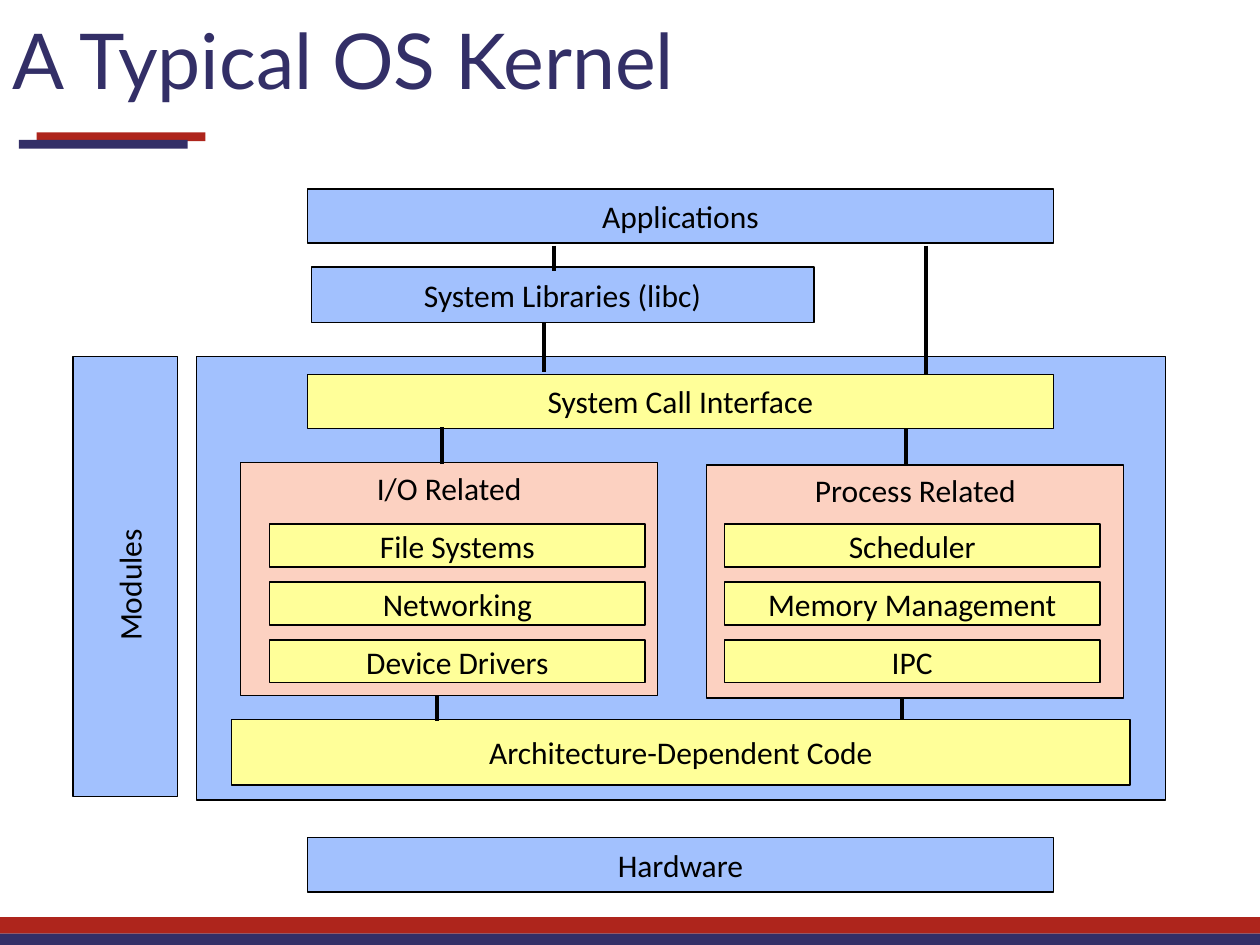
from dataclasses import dataclass

from lxml import etree
from pptx import Presentation
from pptx.dml.color import RGBColor as Rgb
from pptx.enum import shapes as sh, text as tx
from pptx.oxml.ns import qn
from pptx.util import Inches, Pt


@dataclass(frozen=True)
class Theme:
    """Colours, fonts and type sizes of the slide."""
    navy: str = "332F67"
    red: str = "AE251C"
    blue: str = "A2C1FE"
    yellow: str = "FFFF99"
    pink: str = "FCD1C1"
    black: str = "000000"
    head: str = "Lato"
    body: str = "Calibri"
    big: int = 44
    small: int = 18


T = Theme()


def style(frame, words, font, size, color, align):
    """Fill a text frame with one formatted paragraph."""
    frame.text = words
    para = frame.paragraphs[0]
    para.alignment = align
    face = para.runs[0].font
    face.name, face.size = font, Pt(size)
    face.color.rgb = Rgb.from_string(color)


def rect(slide, box, fill, edge=True):
    """Draw a plain filled rectangle."""
    shape = slide.shapes.add_shape(sh.MSO_SHAPE.RECTANGLE, *map(Inches, box))
    shape.shadow.inherit = False
    shape.fill.solid()
    shape.fill.fore_color.rgb = Rgb.from_string(fill)
    if edge:
        shape.line.color.rgb = Rgb.from_string(T.black)
        shape.line.width = Pt(0.75)
    else:
        shape.line.fill.background()
    return shape


def block(slide, box, words, fill, anchor=tx.MSO_ANCHOR.MIDDLE):
    """Draw a labelled rectangle."""
    frame = rect(slide, box, fill).text_frame
    frame.word_wrap = False
    frame.vertical_anchor = anchor
    style(frame, words, T.body, T.small, T.black, tx.PP_ALIGN.CENTER)


def link(slide, x, top, end):
    """Draw a vertical line between two layers."""
    line = slide.shapes.add_connector(
        sh.MSO_CONNECTOR.STRAIGHT, *map(Inches, (x, top, x, end)))
    line.line.color.rgb = Rgb.from_string(T.black)
    line.line.width = Pt(2.25)
    etree.SubElement(line._element.spPr, qn("a:effectLst"))


def stripes(slide, box, shift, drop, colors):
    """Draw two coloured bars, the second offset from the first."""
    left, top, wide, high = box
    for i, color in enumerate(colors):
        spot = (left + i * shift, top + i * drop, wide, high)
        rect(slide, spot, color, edge=False)


def title(slide, box, words):
    """Place the slide title."""
    frame = slide.shapes.add_textbox(*map(Inches, box)).text_frame
    frame.word_wrap = True
    frame.vertical_anchor = tx.MSO_ANCHOR.MIDDLE
    style(frame, words, T.head, T.big, T.navy, tx.PP_ALIGN.LEFT)
    frame.paragraphs[0].line_spacing = 0.9


def group(slide, box, inset, top, words, parts):
    """Draw a subsystem panel with its evenly stacked parts."""
    block(slide, box, words, T.pink, tx.MSO_ANCHOR.TOP)
    for i, part in enumerate(parts):
        spot = (box[0] + inset, top + i * 0.46, 2.98, 0.34)
        block(slide, spot, part, T.yellow)


def kernel(slide, box):
    """Draw the kernel with its interface, subsystems and base."""
    left, top, wide, high = box
    rect(slide, box, T.blue)
    block(slide, (left + 0.88, top + 0.14, 5.92, 0.43),
          "System Call Interface", T.yellow)
    block(slide, (left + 0.28, top + 2.88, 7.13, 0.52),
          "Architecture-Dependent Code", T.yellow)
    row = top + 1.33
    group(slide, (left + 0.35, top + 0.84, 3.31, 1.85), 0.23, row,
          "I/O Related", ("File Systems", "Networking", "Device Drivers"))
    group(slide, (left + 4.05, top + 0.86, 3.31, 1.85), 0.14, row,
          "Process Related", ("Scheduler", "Memory Management", "IPC"))


def modules(slide, box):
    """Draw the side column with its upright label."""
    left, top, wide, high = box
    rect(slide, box, T.blue)
    label = slide.shapes.add_textbox(
        *map(Inches, (left - 0.18, top + 1.46, 1.32, 0.47)))
    label.rotation = 270
    frame = label.text_frame
    frame.word_wrap = False
    style(frame, "Modules", T.body, T.small, T.black, tx.PP_ALIGN.LEFT)


def main():
    """Build and save the slide."""
    deck = Presentation()
    deck.slide_width, deck.slide_height = Inches(10), Inches(7.5)
    slide = deck.slides.add_slide(deck.slide_layouts[6])
    stripes(slide, (0.29, 1.05, 1.34, 0.07), -0.14, 0.06, (T.red, T.navy))
    stripes(slide, (0, 7.28, 10, 0.13), 0, 0.13, (T.red, T.navy))
    title(slide, (0, 0, 9.65, 1.02), "A Typical OS Kernel")
    kernel(slide, (1.56, 2.83, 7.69, 3.52))
    for box, words in (
            ((2.44, 1.5, 5.92, 0.43), "Applications"),
            ((2.47, 2.12, 3.99, 0.44), "System Libraries (libc)"),
            ((2.44, 6.65, 5.92, 0.43), "Hardware")):
        block(slide, box, words, T.blue)
    modules(slide, (0.58, 2.83, 0.83, 3.49))
    for x, top, end in (
            (4.4, 1.95, 2.15), (4.32, 2.56, 2.95), (7.35, 1.95, 2.98),
            (3.51, 3.39, 3.68), (7.19, 3.4, 3.69),
            (3.47, 5.52, 5.72), (7.16, 5.54, 5.71)):
        link(slide, x, top, end)
    deck.save("out.pptx")


if __name__ == "__main__":
    main()
